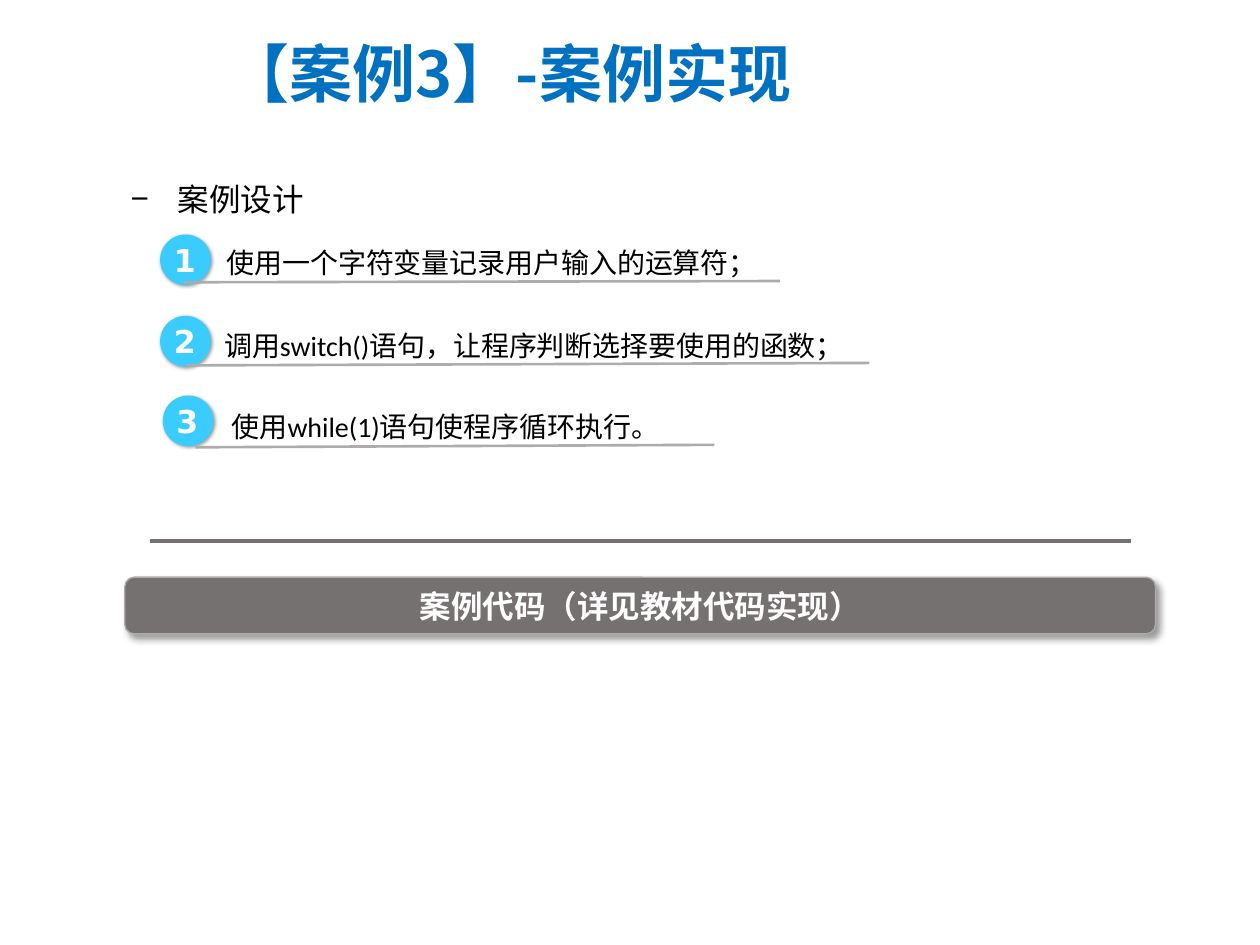
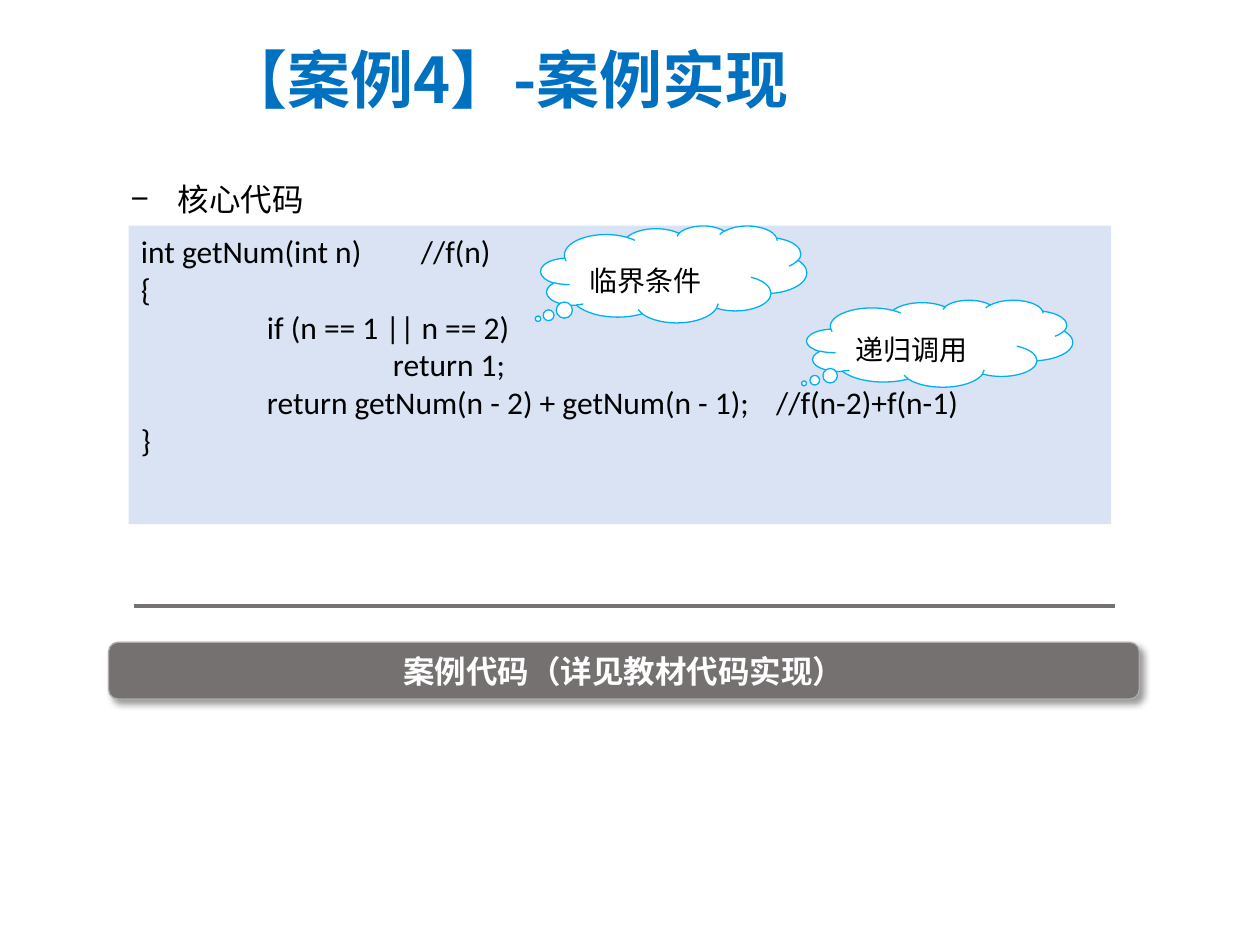
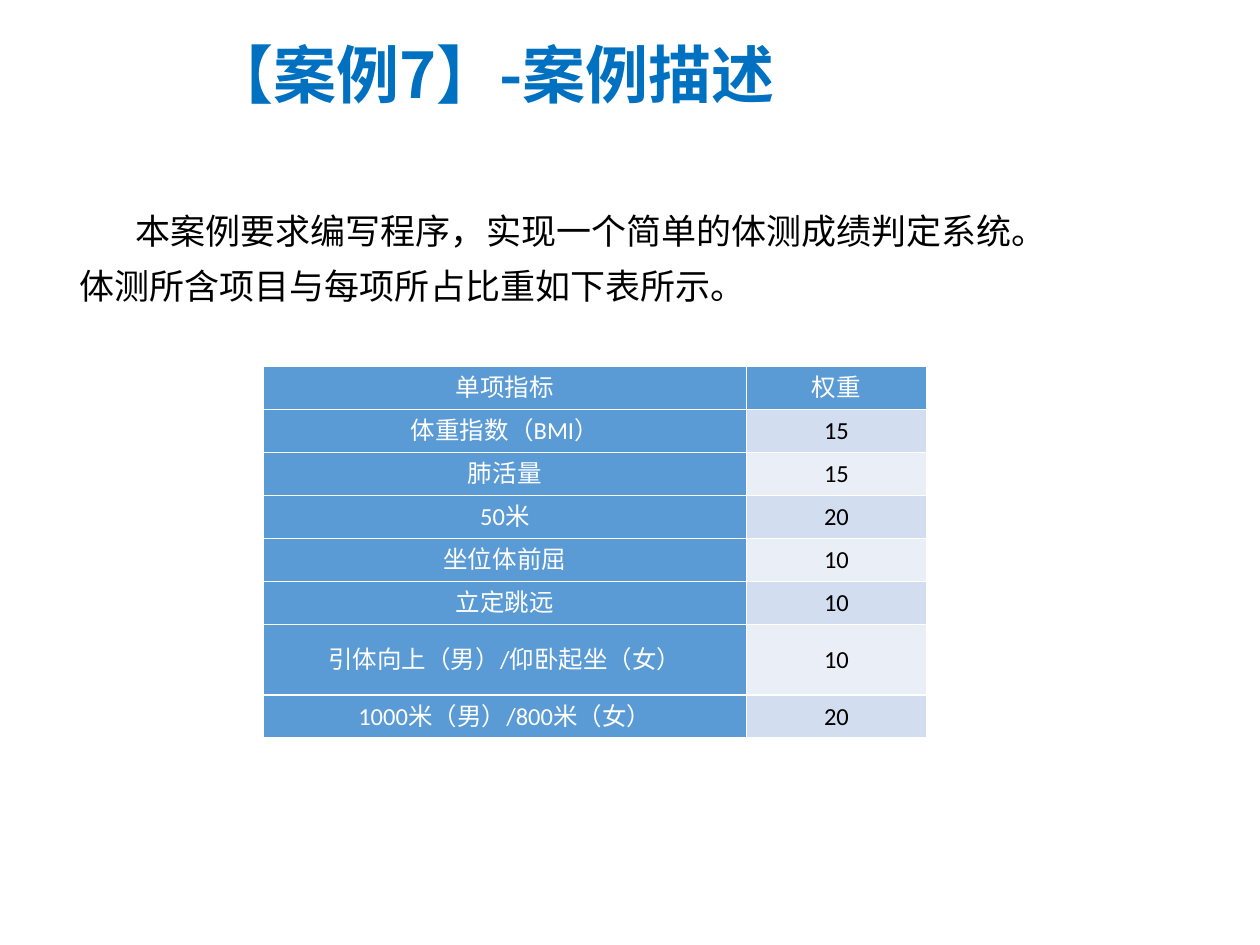
import pptx
import pptx.util
import pptx.dml.color
import pptx.enum.lang
import pptx.enum.shapes
import pptx.enum.text
import pptx.oxml.ns
from lxml import etree

Pt = pptx.util.Pt
RGB = pptx.dml.color.RGBColor
Kind = pptx.enum.shapes.MSO_SHAPE
Align = pptx.enum.text.PP_ALIGN
Anchor = pptx.enum.text.MSO_ANCHOR
Fit = pptx.enum.text.MSO_AUTO_SIZE
qn = pptx.oxml.ns.qn

# Shared colours and fonts
BLACK = RGB(0x00, 0x00, 0x00)
WHITE = RGB(0xFF, 0xFF, 0xFF)
BLUE = RGB(0x00, 0x70, 0xC0)
SKY = RGB(0x3B, 0xCC, 0xFF)
CYAN = RGB(0x00, 0xB0, 0xF0)
GREY = RGB(0x76, 0x71, 0x71)
SILVER = RGB(0xAF, 0xAB, 0xAB)
PALE = RGB(0xDA, 0xE3, 0xF3)
HEAD = RGB(0x5B, 0x9B, 0xD5)
BANDS = RGB(0xD2, 0xDE, 0xEF), RGB(0xEA, 0xEF, 0xF7)
MAIN = "Calibri"
HAN = "Noto Sans CJK SC"


# Text helpers
def style(para, size, color=BLACK, name=MAIN, bold=False, align=Align.LEFT):
    para.alignment = align
    font = para.font
    font.size, font.bold = Pt(size), bold
    font.color.rgb = color
    font.name = name
    font.language_id = pptx.enum.lang.MSO_LANGUAGE_ID.SIMPLIFIED_CHINESE
    props = para._p.pPr.find(qn("a:defRPr"))
    etree.SubElement(props, qn("a:ea")).set("typeface", MAIN)


def indent(para, left, first):
    props = para._p.get_or_add_pPr()
    props.set("marL", str(Pt(left)))
    props.set("indent", str(Pt(first)))


def extend(para, tag):
    """Add a paragraph property in its place before the font."""
    node = etree.Element(qn(tag))
    para._p.pPr.find(qn("a:defRPr")).addprevious(node)
    return node


def place(shape, box):
    shape.left, shape.top, shape.width, shape.height = map(Pt, box)


def label(slide, text, box, size, **look):
    shape = slide.shapes.add_textbox(*map(Pt, box))
    frame = shape.text_frame
    frame.word_wrap = False
    frame.auto_size = Fit.SHAPE_TO_FIT_TEXT
    frame.text = text
    para = frame.paragraphs[0]
    style(para, size, **look)
    return para


# Shape helpers
def shade(shape, blur, dist):
    effects = etree.SubElement(shape._element.spPr, qn("a:effectLst"))
    outer = etree.SubElement(effects, qn("a:outerShdw"), blurRad=str(Pt(blur)),
                             dist=str(Pt(dist)), dir="2700000", algn="tl", rotWithShape="0")
    color = etree.SubElement(outer, qn("a:srgbClr"), val="000000")
    etree.SubElement(color, qn("a:alpha"), val="40000")


def block(slide, kind, box, fill, edge=None, cast=None):
    shape = slide.shapes.add_shape(kind, *map(Pt, box))
    shape.fill.solid()
    shape.fill.fore_color.rgb = fill
    if edge is None:
        shape.line.fill.background()
    else:
        shape.line.color.rgb = edge
        shape.line.width = Pt(0.75)
    if cast:
        shade(shape, *cast)
    else:
        shape.shadow.inherit = False
    return shape


def rule(slide, ends, color, width):
    line = slide.shapes.add_connector(
        pptx.enum.shapes.MSO_CONNECTOR.STRAIGHT, *map(Pt, ends))
    line.line.color.rgb = color
    line.line.width = Pt(width)
    etree.SubElement(line._element.spPr, qn("a:effectLst"))


# Parts that the slides share
def start(deck, title, box):
    slide = deck.slides.add_slide(deck.slide_layouts[1])
    shape = slide.shapes.title
    place(shape, box)
    frame = shape.text_frame
    frame.text = title
    frame.auto_size = Fit.NONE
    frame.vertical_anchor = Anchor.MIDDLE
    para = frame.paragraphs[0]
    style(para, 36, BLUE, HAN, True)
    indent(para, 45, -45)
    return slide


def topic(slide, text):
    body = slide.placeholders[1]
    place(body, (67.5, 88.5, 613, 34.5))
    body.text_frame.text = text
    body.text_frame.auto_size = Fit.NONE
    para = body.text_frame.paragraphs[0]
    style(para, 18, name="Arial")
    indent(para, 27, -27)
    para.line_spacing, para.space_before = 1.5, Pt(3.6)
    extend(para, "a:buChar").set("char", "−")


def banner(slide, left, top):
    rule(slide, (left + 14.5, top - 20.5, left + 575, top - 20.5), GREY, 2.25)
    bar = block(slide, Kind.ROUNDED_RECTANGLE, (left, top, 589, 32.4), GREY, SILVER, (4, 3))
    frame = bar.text_frame
    frame.text = "案例代码（详见教材代码实现）"
    frame.vertical_anchor = Anchor.MIDDLE
    style(frame.paragraphs[0], 18, WHITE, bold=True, align=Align.CENTER)


# Parts of single slides
def step(slide, num, text, left, top, line, spot):
    disc = block(slide, Kind.OVAL, (left, top, 29, 29), SKY, cast=(2, 1))
    disc.rotation = 9.6
    label(slide, str(num), (left + 0.7, top, 27.4, 29), 18,
          color=WHITE, name="DejaVu Sans", bold=True)
    rule(slide, line, SILVER, 1.5)
    para = label(slide, text, (*spot, 32.4), 16)
    para.line_spacing, para.space_after = 1.3, Pt(3)


def code(slide, lines, box):
    frame = block(slide, Kind.RECTANGLE, box, PALE).text_frame
    frame.word_wrap = True
    frame.vertical_anchor = Anchor.TOP
    frame.text = "\n".join(text for text, stops in lines)
    for para, (text, stops) in zip(frame.paragraphs, lines):
        style(para, 18)
        if stops:
            tabs = extend(para, "a:tabLst")
            for stop in stops:
                etree.SubElement(tabs, qn("a:tab"), pos=str(Pt(stop)), algn="l")


def cloud(slide, text, box):
    shape = block(slide, Kind.CLOUD_CALLOUT, box, WHITE, CYAN)
    shape.adjustments[0], shape.adjustments[1] = -0.51, 0.46
    frame = shape.text_frame
    frame.text = text
    frame.vertical_anchor = Anchor.MIDDLE
    para = frame.paragraphs[0]
    style(para, 16)
    para.line_spacing = 1.5


def prose(slide, lines, box):
    body = slide.placeholders[1]
    place(body, box)
    frame = body.text_frame
    frame.text = "\n".join(lines)
    frame.auto_size = Fit.NONE
    for num, para in enumerate(frame.paragraphs):
        style(para, 20)
        indent(para, 0, 0 if num else 32)
        para.line_spacing, para.space_before = 0.9, Pt(10)
        extend(para, "a:buNone")


def grid(slide, rows, box, widths, heights):
    table = slide.shapes.add_table(len(rows), len(widths), *map(Pt, box)).table
    for col, width in zip(table.columns, widths):
        col.width = Pt(width)
    for r, row in enumerate(rows):
        table.rows[r].height = Pt(heights[r])
        for c, text in enumerate(row):
            cell = table.cell(r, c)
            value = r > 0 and c > 0
            cell.text = text
            cell.vertical_anchor = Anchor.MIDDLE
            cell.margin_left = cell.margin_right = Pt(5)
            cell.margin_top = cell.margin_bottom = Pt(0)
            cell.fill.solid()
            cell.fill.fore_color.rgb = BANDS[(r - 1) % 2] if value else HEAD
            style(cell.text_frame.paragraphs[0], 14, BLACK if value else WHITE,
                  align=Align.CENTER)


def main():
    deck = pptx.Presentation()
    deck.slide_width, deck.slide_height = Pt(720), Pt(540)

    # Case 3: design steps
    slide = start(deck, "【案例3】-案例实现", (122.4, 10.8, 366.5, 60.5))
    topic(slide, "案例设计")
    banner(slide, 71.3, 329.8)
    steps = [
        ("使用一个字符变量记录用户输入的运算符；", 91.5, 134,
         (105, 161.3, 445.7, 160.6), (122.4, 131, 322)),
        ("调用switch()语句，让程序判断选择要使用的函数；", 91.5, 180.5,
         (106.5, 208.8, 496.8, 207.4), (121, 178.6, 377)),
        ("使用while(1)语句使程序循环执行。", 93, 226,
         (111.6, 255.6, 408.2, 254.2), (125.3, 224.6, 265)),
    ]
    for num, item in enumerate(steps, 1):
        step(slide, num, *item)

    # Case 4: recursive code
    slide = start(deck, "【案例4】-案例实现", (121, 14.4, 405.4, 60.5))
    topic(slide, "核心代码")
    banner(slide, 62, 367)
    code(slide, [
        ("int getNum(int n)\t//f(n)", [160]),
        ("{", []),
        ("\tif (n == 1 || n == 2)", [72]),
        ("\t\treturn 1;", [72, 144]),
        ("\treturn getNum(n - 2) + getNum(n - 1);\t//f(n-2)+f(n-1)", [72, 363]),
        ("}", []),
    ], (73.5, 129, 561.5, 170.6))
    cloud(slide, "临界条件", (309, 129, 152, 55.4))
    cloud(slide, "递归调用", (461, 171.4, 152, 49.7))

    # Case 7: fitness test weights
    slide = start(deck, "【案例7】-案例描述", (113, 11.5, 446.4, 60.5))
    prose(slide, ["本案例要求编写程序，实现一个简单的体测成绩判定系统。",
                  "体测所含项目与每项所占比重如下表所示。"], (38.2, 118.8, 627.8, 70.6))
    rows = [
        ("单项指标", "权重"),
        ("体重指数（BMI）", "15"),
        ("肺活量", "15"),
        ("50米", "20"),
        ("坐位体前屈", "10"),
        ("立定跳远", "10"),
        ("引体向上（男）/仰卧起坐（女）", "10"),
        ("1000米（男）/800米（女）", "20"),
    ]
    grid(slide, rows, (150.5, 209.5, 379, 213), (276, 103), [24.6] * 6 + [40.3, 24.6])

    deck.save("out.pptx")


if __name__ == "__main__":
    main()
